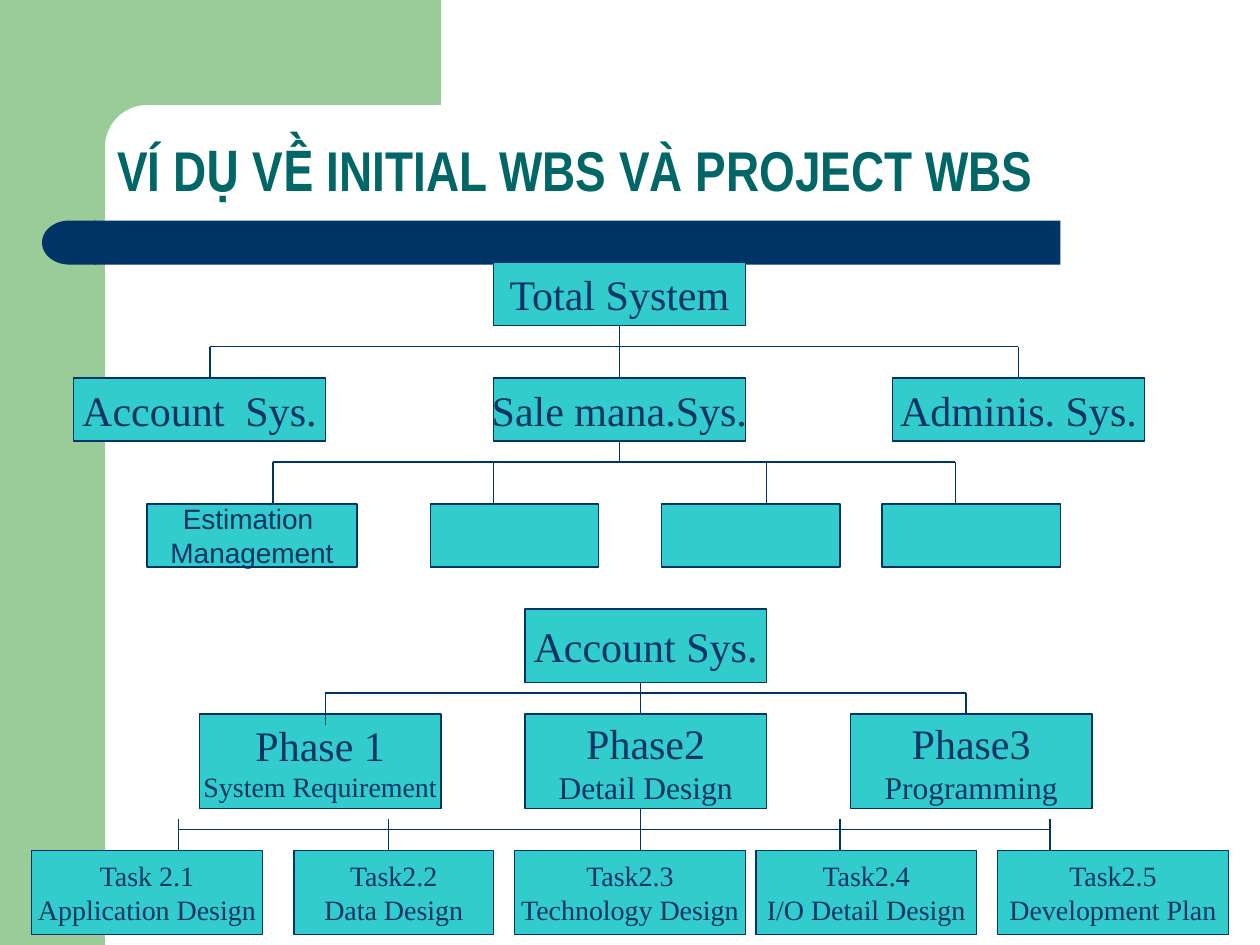
from dataclasses import dataclass
from math import cos, pi, sin

from lxml.etree import SubElement
from pptx import Presentation
from pptx.dml.color import RGBColor
from pptx.enum.shapes import MSO_CONNECTOR, MSO_SHAPE
from pptx.enum.text import MSO_ANCHOR, PP_ALIGN
from pptx.oxml.ns import qn
from pptx.util import Cm, Pt

NAVY, AQUA, GREEN, TEAL = "003366", "33CCCC", "99CC99", "006666"
SERIF, SANS = "Times New Roman", "Arial"
UNIT = 2.54 / 12  # the grid step in cm


@dataclass
class Line:
    text: str
    size: int = 24
    font: str = SERIF
    color: str = NAVY
    bold: bool = False


@dataclass
class Box:
    left: float
    top: float
    width: float
    height: float
    lines: tuple[Line, ...] = ()


def grid(n: float) -> Cm:
    return Cm(n * UNIT)


def rgb(code: str) -> RGBColor:
    return RGBColor.from_string(code)


def paint(shape, fill: str | None, edge: str | None = None) -> None:
    shape.shadow.inherit = False
    if fill:
        shape.fill.solid()
        shape.fill.fore_color.rgb = rgb(fill)
    else:
        shape.fill.background()
    if edge:
        shape.line.color.rgb = rgb(edge)
        shape.line.width = Pt(0.74)
    else:
        shape.line.fill.background()


def write(frame, lines: tuple[Line, ...], align: PP_ALIGN) -> None:
    for i, line in enumerate(lines):
        para = frame.add_paragraph() if i else frame.paragraphs[0]
        para.alignment = align
        run = para.add_run()
        run.text = line.text
        run.font.size = Pt(line.size)
        run.font.name = line.font
        run.font.bold = line.bold
        run.font.color.rgb = rgb(line.color)


def place(kind: MSO_SHAPE, box: Box, fill: str | None, edge: str | None = None):
    shape = slide.shapes.add_shape(
        kind, grid(box.left), grid(box.top), grid(box.width), grid(box.height))
    paint(shape, fill, edge)
    return shape


def node(box: Box) -> None:
    shape = place(MSO_SHAPE.RECTANGLE, box, AQUA, NAVY)
    frame = shape.text_frame
    frame.word_wrap = False
    frame.vertical_anchor = MSO_ANCHOR.MIDDLE
    write(frame, box.lines, PP_ALIGN.CENTER)


def link(x1: float, y1: float, x2: float, y2: float) -> None:
    line = slide.shapes.add_connector(
        MSO_CONNECTOR.STRAIGHT, grid(x1), grid(y1), grid(x2), grid(y2))
    line.line.color.rgb = rgb(NAVY)
    line.line.width = Pt(0.74)
    SubElement(line._element.spPr, qn("a:effectLst"))


def branch(y: float, top: float, base: float, drops: tuple[float, ...]) -> None:
    link(drops[0], y, drops[-1], y)
    for x in drops:
        link(x, top, x, base)


deck = Presentation()
deck.slide_width, deck.slide_height = grid(120), grid(90)
slide = deck.slides.add_slide(deck.slide_layouts[6])

# Green side band and rounded corner
place(MSO_SHAPE.RECTANGLE, Box(0, 0, 10, 90), GREEN)
arc = [(14 - 4 * sin(a), 14 - 4 * cos(a)) for a in (pi / 24 * i for i in range(13))]
edge = [(42, 10), *arc, (10, 15.4), (6, 15.4), (6, 0)]
pen = slide.shapes.build_freeform(grid(42), 0, scale=1.0)
pen.add_line_segments([(grid(x), grid(y)) for x, y in edge], close=True)
paint(pen.convert_to_shape(), GREEN)

# Navy title bar
bar = place(MSO_SHAPE.ROUNDED_RECTANGLE, Box(9, 21, 92, 4.2), NAVY)
bar.adjustments[0] = 0
cap = place(MSO_SHAPE.FLOWCHART_DELAY, Box(4, 21, 5.2, 4.2), NAVY)
cap._element.spPr.xfrm.set("flipH", "1")

# Initial WBS
node(Box(47, 25, 24, 6, (Line("Total System"),)))
for left, name in ((7, "Account  Sys."), (47, "Sale mana.Sys."), (85, "Adminis. Sys.")):
    node(Box(left, 36, 24, 6, (Line(name),)))
node(Box(14, 48, 20, 6, (Line("Estimation ", 16, SANS), Line("Management", 16, SANS))))
for left, width in ((41, 16), (63, 17), (84, 17)):
    node(Box(left, 48, width, 6))
branch(33, 33, 36, (20, 97))
link(59, 31, 59, 36)
branch(44, 44, 48, (26, 47, 73, 91))
link(59, 42, 59, 44)

# Project WBS
node(Box(50, 58, 23, 7, (Line("Account Sys."),)))
phases = (("Phase 1", "System Requirement", 16), ("Phase2", "Detail Design", 18),
          ("Phase3", "Programming", 18))
for i, (name, work, size) in enumerate(phases):
    node(Box(19 + 31 * i, 68, 23, 9, (Line(name), Line(work, size))))
tasks = ((3, 22, "Task 2.1", "Application Design"), (28, 19, "Task2.2", "Data Design"),
         (49, 22, "Task2.3", "Technology Design"), (72, 21, "Task2.4", "I/O Detail Design"),
         (95, 22, "Task2.5", "Development Plan"))
for left, width, name, work in tasks:
    node(Box(left, 81, width, 8, (Line(name, 16), Line(work, 16))))
link(31, 66, 92, 66)
link(31, 66, 31, 69)
link(92, 66, 92, 68)
link(61, 65, 61, 68)
branch(79, 78, 81, (17, 37, 80, 100))
link(61, 77, 61, 81)

# Title
title = place(MSO_SHAPE.ROUNDED_RECTANGLE, Box(10, 10, 92, 10), None)
title.adjustments[0] = 0
frame = title.text_frame
frame.word_wrap = True
frame.vertical_anchor = MSO_ANCHOR.BOTTOM
heading = Line("VÍ DỤ VỀ INITIAL WBS VÀ PROJECT WBS", 32, "Arial Narrow", TEAL, True)
write(frame, (heading,), PP_ALIGN.LEFT)
frame.paragraphs[0].line_spacing = 0.9

deck.save("out.pptx")
